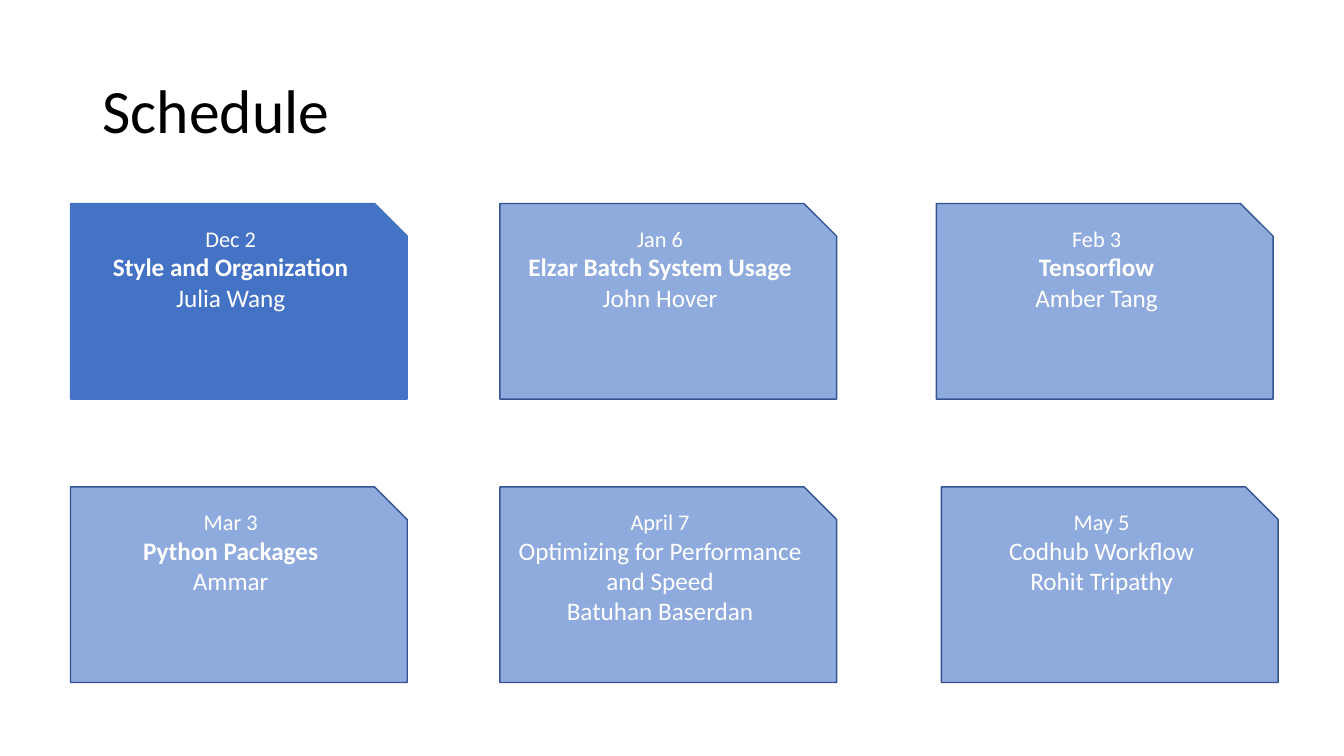
import pptx
import pptx.util
import pptx.dml.color
import pptx.enum.shapes
import pptx.enum.text

Pt = pptx.util.Pt
RGB = pptx.dml.color.RGBColor.from_string
PP_ALIGN = pptx.enum.text.PP_ALIGN
ANCHOR = pptx.enum.text.MSO_ANCHOR

COLORS = {
    "title": "000000",
    "text": "FFFFFF",
    "current": "4472C4",
    "upcoming": "8FAADC",
    "outline": "325491",
}
FONT = "Calibri"


def add_run(p, text, size, color, bold=False):
    r = p.add_run()
    r.text = text
    r.font.name = FONT
    r.font.size = Pt(size)
    r.font.bold = bold
    r.font.color.rgb = RGB(COLORS[color])


prs = pptx.Presentation()
prs.slide_width, prs.slide_height = Pt(960), Pt(540)
s = prs.slides.add_slide(prs.slide_layouts[5])

# Title
title = s.shapes.title
title.left, title.top, title.width, title.height = Pt(66), Pt(28.8), Pt(828), Pt(104.4)
tf = title.text_frame
tf.auto_size = pptx.enum.text.MSO_AUTO_SIZE.NONE
tf.vertical_anchor = ANCHOR.MIDDLE
p = tf.paragraphs[0]
p.alignment = PP_ALIGN.LEFT
p.line_spacing = 0.9
add_run(p, "Schedule", 44, "title")

# Sessions by row: date, topic, bold topic, speaker
CARD_W, CARD_H = 240.5, 139.7
rows = [
    (145.4, [50.4, 357.1, 668.9], [
        ("Dec 2", "Style and Organization", True, "Julia Wang"),
        ("Jan 6", "Elzar Batch System Usage", True, "John Hover"),
        ("Feb 3", "Tensorflow", True, "Amber Tang"),
    ]),
    (347.8, [50.4, 357.1, 672.5], [
        ("Mar 3", "Python Packages", True, "Ammar"),
        ("April 7", "Optimizing for Performance and Speed", False, "Batuhan Baserdan"),
        ("May 5", "Codhub Workflow", False, "Rohit Tripathy"),
    ]),
]

# Session cards
for top, lefts, sessions in rows:
    for left, (date, topic, bold, speaker) in zip(lefts, sessions):
        current = date == "Dec 2"
        sp = s.shapes.add_shape(
            pptx.enum.shapes.MSO_SHAPE.SNIP_1_RECTANGLE,
            Pt(left), Pt(top), Pt(CARD_W), Pt(CARD_H))
        sp.name = f"Session {date}"
        sp.shadow.inherit = False
        sp.fill.solid()
        sp.fill.fore_color.rgb = RGB(COLORS["current" if current else "upcoming"])
        sp.line.color.rgb = RGB(COLORS["current" if current else "outline"])
        sp.line.width = Pt(1)

        tf = sp.text_frame
        tf.word_wrap = True
        tf.vertical_anchor = ANCHOR.TOP
        lines = [(date, 16, False), (topic, 18, bold), (speaker, 18, False)]
        for i, (text, size, is_bold) in enumerate(lines):
            p = tf.add_paragraph() if i else tf.paragraphs[0]
            p.alignment = PP_ALIGN.CENTER
            add_run(p, text, size, "text", is_bold)

prs.save("out.pptx")
